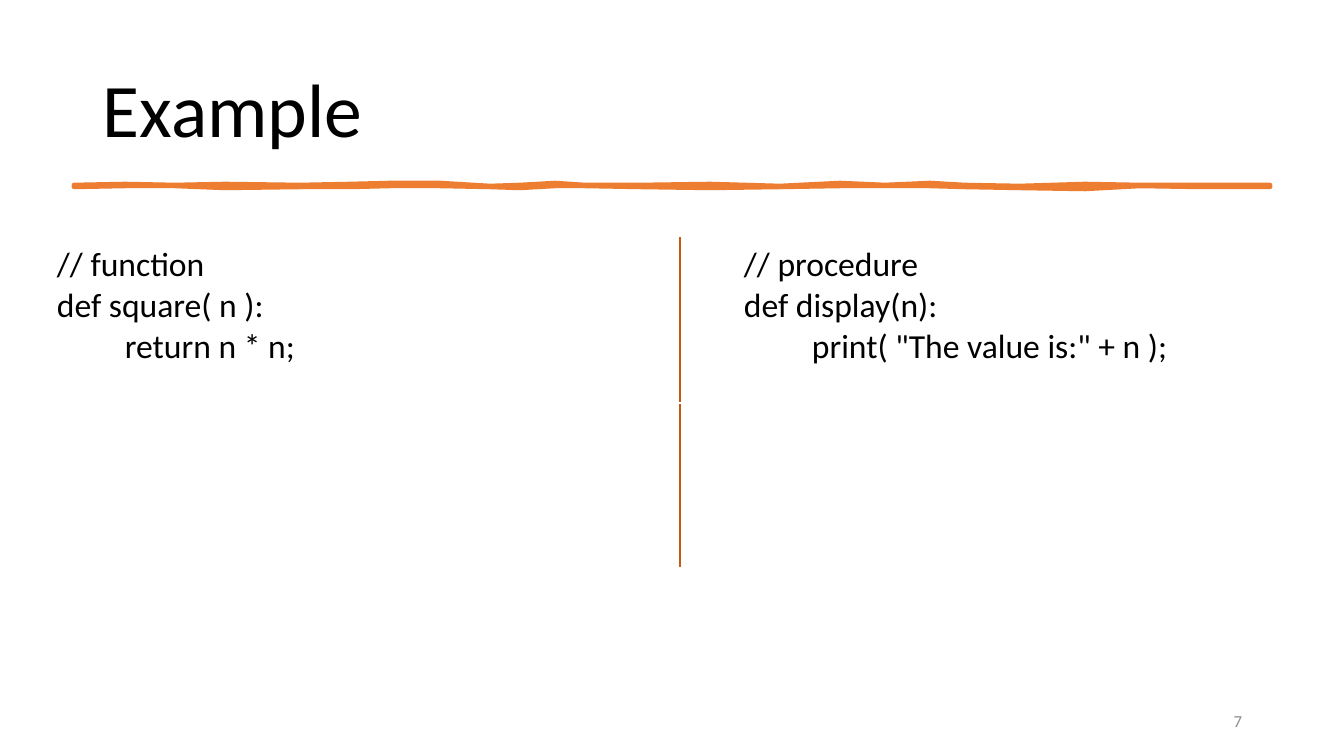
from pptx import Presentation
from pptx.dml.color import RGBColor
from pptx.enum.text import MSO_ANCHOR, PP_ALIGN
from pptx.oxml import parse_xml
from pptx.oxml.ns import nsdecls
from pptx.util import Emu, Pt

THEME = {
    "font": "Calibri",
    "text": "000000", "muted": "8C8C8C", "accent": "ED7D31", "divider": "C55A11",
    "title": 54, "code": 24, "number": 12, "rule": 3.25,
}


def px(n):
    return Emu(round(n * 914400 / 100.8))


def style(p, size, color):
    p.font.name = THEME["font"]
    p.font.size = Pt(THEME[size])
    p.font.color.rgb = RGBColor.from_string(THEME[color])


prs = Presentation()
prs.slide_width, prs.slide_height = px(1344), px(756)
s = prs.slides.add_slide(prs.slide_layouts[6])

# Title and slide number
labels = [
    ("Example", (93, 40, 1159, 146), "title", "text", PP_ALIGN.LEFT, 0.9),
    ("7", (950, 701, 302, 40), "number", "muted", PP_ALIGN.RIGHT, 1.0),
]
for text, box, size, color, align, spacing in labels:
    tf = s.shapes.add_textbox(*map(px, box)).text_frame
    tf.word_wrap = True
    tf.vertical_anchor = MSO_ANCHOR.MIDDLE
    p = tf.paragraphs[0]
    p.text, p.alignment, p.line_spacing = text, align, spacing
    style(p, size, color)

# Hand-drawn rule: upper and lower edge at each x
wave = [
    (74, 185, 187), (125, 184, 186), (175, 185, 186), (225, 184, 188),
    (300, 185, 187), (350, 184, 187), (390, 183, 186), (440, 183, 186),
    (490, 186, 187), (520, 185, 188), (555, 183, 186), (585, 185, 186),
    (640, 185, 187), (710, 184, 188), (780, 186, 187), (840, 183, 186),
    (885, 185, 186), (930, 183, 186), (965, 185, 187), (1020, 186, 188),
    (1085, 184, 189), (1140, 185, 186), (1200, 185, 187), (1270, 185, 187),
]
outline = [(px(x), px(top)) for x, top, _ in wave]
outline += [(px(x), px(bottom)) for x, _, bottom in reversed(wave)]
builder = s.shapes.build_freeform(*outline[0])
builder.add_line_segments(outline[1:], close=True)
sp = builder.convert_to_shape()
sp.shadow.inherit = False
accent = RGBColor.from_string(THEME["accent"])
sp.fill.solid()
sp.fill.fore_color.rgb = accent
sp.line.color.rgb = accent
sp.line.width = Pt(THEME["rule"])

# Code table: (left indent, line) per paragraph
code = [
    [(0, "// function"), (0, "def square( n ):"), (68, "return n * n;")],
    [(50, "// procedure"), (50, "def display(n):"),
     (118, 'print( "The value is:" + n );')],
]
table = s.shapes.add_table(2, 2, px(43), px(238), px(1274), px(330)).table
table.first_row = table.horz_banding = False
for cell in table.iter_cells():
    cell.fill.background()
    cell.margin_left = cell.margin_right = px(14)
    cell.margin_top = cell.margin_bottom = px(7)

for col, lines in enumerate(code):
    tf = table.cell(0, col).text_frame
    tf.text = "\n".join(line for _, line in lines)
    for p, (indent, _) in zip(tf.paragraphs, lines):
        style(p, "code", "text")
        p._p.get_or_add_pPr().set("marL", str(px(indent)))

# Divider between the columns
for row in range(2):
    for col, side in enumerate(("lnR", "lnL")):
        border = parse_xml(
            f'<a:{side} {nsdecls("a")} w="{Pt(1)}"><a:solidFill>'
            f'<a:srgbClr val="{THEME["divider"]}"/></a:solidFill></a:{side}>')
        table.cell(row, col)._tc.get_or_add_tcPr().insert(0, border)

prs.save("out.pptx")
